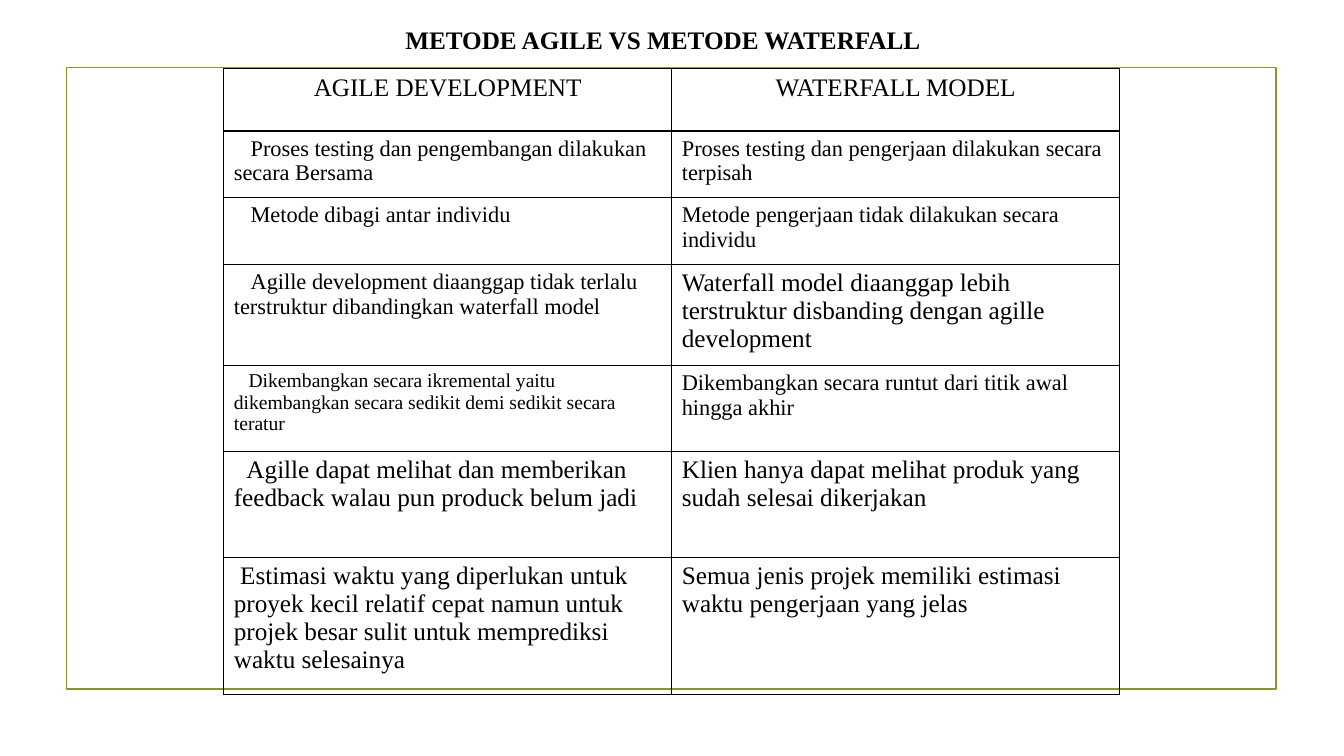
from lxml.etree import SubElement
from pptx import Presentation
from pptx.dml.color import RGBColor
from pptx.enum.shapes import MSO_SHAPE
from pptx.enum.text import MSO_ANCHOR, MSO_AUTO_SIZE, PP_ALIGN
from pptx.oxml.ns import qn
from pptx.util import Cm, Pt

BLACK = RGBColor(0x00, 0x00, 0x00)
OLIVE = RGBColor(0x83, 0x99, 0x2A)

HEADERS = ("AGILE DEVELOPMENT", "WATERFALL MODEL")
# Left text, its size and first-line indent in points; right text and its size
COMPARISONS = [
    ("Proses testing dan pengembangan dilakukan secara Bersama", 16, 12,
     "Proses testing dan pengerjaan dilakukan secara terpisah", 16),
    ("Metode dibagi antar individu", 16, 12,
     "Metode pengerjaan tidak dilakukan secara individu", 16),
    ("Agille development diaanggap tidak terlalu terstruktur dibandingkan "
     "waterfall model", 16, 12,
     "Waterfall model diaanggap lebih terstruktur disbanding dengan agille "
     "development", 18),
    ("Dikembangkan secara ikremental yaitu dikembangkan secara sedikit demi "
     "sedikit secara teratur", 14, 10.5,
     "Dikembangkan secara runtut dari titik awal hingga akhir", 16),
    ("Agille dapat melihat dan memberikan feedback walau pun produck belum jadi",
     18, 9,
     "Klien hanya dapat melihat produk yang sudah selesai dikerjakan", 18),
    ("Estimasi waktu yang diperlukan untuk proyek kecil relatif cepat namun "
     "untuk projek besar sulit untuk memprediksi waktu selesainya", 18, 4.5,
     "Semua jenis projek memiliki estimasi waktu pengerjaan yang jelas", 18),
]
ROW_HEIGHTS = (1.57, 1.68, 1.68, 2.54, 2.17, 2.67, 3.45)
COLUMN_WIDTH = 11.29


class SlideBuilder:
    font = "Times New Roman"

    def __init__(self, prs):
        self.slide = prs.slides.add_slide(prs.slide_layouts[5])

    def format_text(self, p, size, bold=False, align=PP_ALIGN.LEFT):
        p.alignment = align
        for r in p.runs:
            r.font.name = self.font
            r.font.size = Pt(size)
            r.font.bold = bold
            r.font.color.rgb = BLACK

    def frame(self, left, top, width, height):
        sp = self.slide.shapes.add_shape(
            MSO_SHAPE.RECTANGLE, Cm(left), Cm(top), Cm(width), Cm(height))
        sp.shadow.inherit = False
        sp.fill.background()
        sp.line.color.rgb = OLIVE
        sp.line.width = Pt(1.25)

    def title(self, text, left, top, width, height):
        sp = self.slide.shapes.title
        sp.left, sp.top, sp.width, sp.height = (
            Cm(left), Cm(top), Cm(width), Cm(height))
        tf = sp.text_frame
        tf.text = text
        tf.word_wrap = False
        tf.auto_size = MSO_AUTO_SIZE.SHAPE_TO_FIT_TEXT
        tf.vertical_anchor = MSO_ANCHOR.TOP
        self.format_text(tf.paragraphs[0], 18, bold=True)

    def table(self, left, top, column_widths, row_heights):
        table = self.slide.shapes.add_table(
            len(row_heights), len(column_widths), Cm(left), Cm(top),
            Cm(sum(column_widths)), Cm(sum(row_heights))).table
        table.first_row = table.horz_banding = False
        for column, width in zip(table.columns, column_widths):
            column.width = Cm(width)
        for row, height in zip(table.rows, row_heights):
            row.height = Cm(height)
        return table

    def cell(self, cell, text, size, indent=0, align=PP_ALIGN.LEFT):
        cell.text = text
        p = cell.text_frame.paragraphs[0]
        self.format_text(p, size, align=align)
        if indent:
            pPr = p._p.get_or_add_pPr()
            pPr.set("marL", "0")
            pPr.set("indent", str(Pt(indent)))
        # Borders come before the fill in the cell properties
        tcPr = cell._tc.get_or_add_tcPr()
        for side in ("lnL", "lnR", "lnT", "lnB"):
            ln = SubElement(tcPr, qn(f"a:{side}"), w=str(Pt(1)))
            fill = SubElement(ln, qn("a:solidFill"))
            SubElement(fill, qn("a:srgbClr"), val=str(BLACK))
        cell.fill.background()


def main():
    prs = Presentation()
    prs.slide_width, prs.slide_height = Cm(33.87), Cm(19.05)
    s = SlideBuilder(prs)

    # Frame and title
    s.frame(1.68, 1.7, 30.48, 15.67)
    s.title("METODE AGILE VS METODE WATERFALL", 9.96, 0.48, 13.94, 1.02)

    # Comparison table
    table = s.table(5.64, 1.73, (COLUMN_WIDTH,) * 2, ROW_HEIGHTS)
    for col, header in enumerate(HEADERS):
        s.cell(table.cell(0, col), header, 18, align=PP_ALIGN.CENTER)
    for row, (agile, agile_size, indent, waterfall, waterfall_size) in enumerate(
            COMPARISONS, start=1):
        s.cell(table.cell(row, 0), agile, agile_size, indent)
        s.cell(table.cell(row, 1), waterfall, waterfall_size)

    prs.save("out.pptx")


if __name__ == "__main__":
    main()
